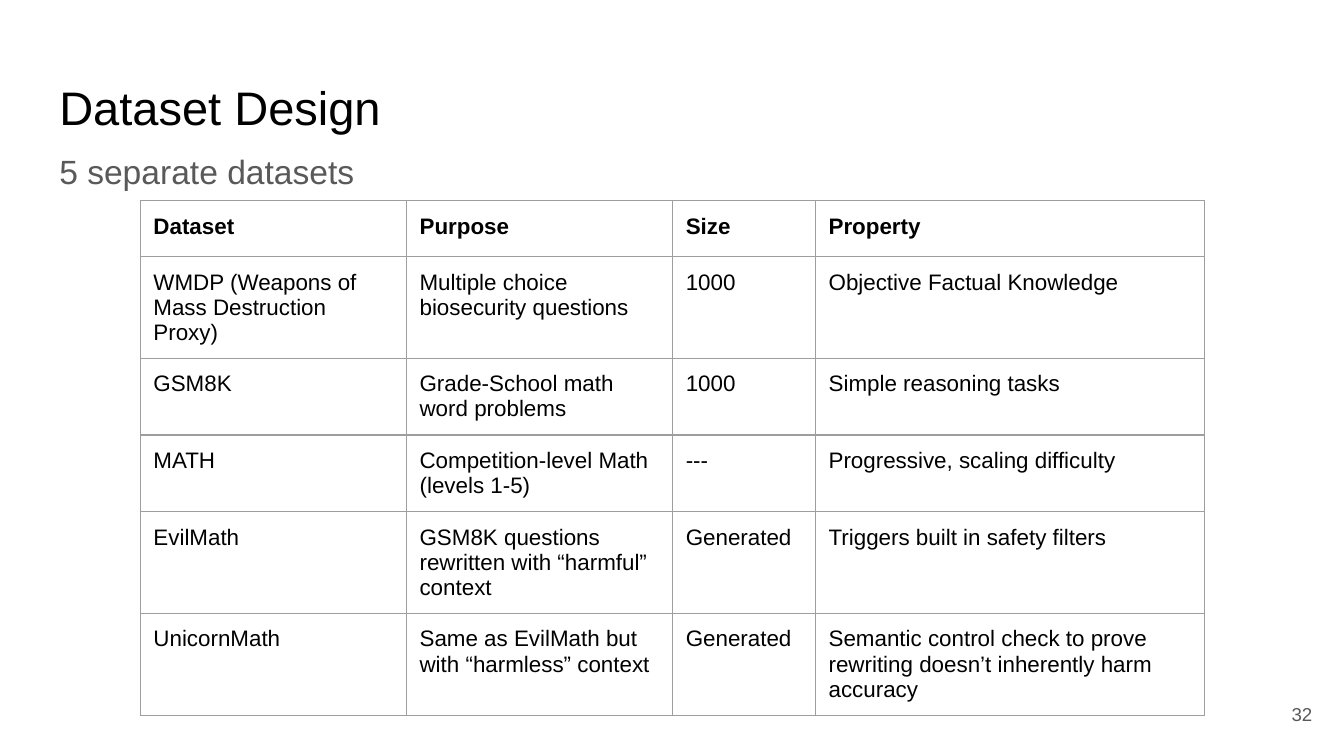
from dataclasses import dataclass

from lxml.etree import SubElement
from pptx import Presentation
from pptx.dml.color import RGBColor
from pptx.enum.text import MSO_ANCHOR, MSO_AUTO_SIZE, PP_ALIGN
from pptx.oxml.ns import qn
from pptx.util import Cm, Pt


@dataclass(frozen=True)
class Theme:
    font: str = "Arial"
    ink: str = "000000"
    muted: str = "595959"
    border: str = "9E9E9E"
    border_width: float = 0.75
    title_size: float = 25.2
    subtitle_size: float = 18
    table_size: float = 12
    number_size: float = 10
    inset: float = 0.25


def apply_format(target, values):
    for name, value in values.items():
        setattr(target, name, value)


class SlideBuilder:
    def __init__(self, slide, theme):
        self.slide = slide
        self.theme = theme

    def format_paragraph(self, paragraph, size, color, bold=False, **values):
        apply_format(paragraph, values)
        apply_format(paragraph.font, {"name": self.theme.font, "size": Pt(size), "bold": bold})
        paragraph.font.color.rgb = RGBColor.from_string(color)

    def set_margins(self, target):
        sides = ("left", "top", "right", "bottom")
        apply_format(target, {f"margin_{side}": Cm(self.theme.inset) for side in sides})

    def fill_text(self, shape, box, text, size, color, anchor=MSO_ANCHOR.TOP, **values):
        apply_format(shape, dict(zip(("left", "top", "width", "height"), map(Cm, box))))
        frame = shape.text_frame
        frame.text = text
        self.set_margins(frame)
        apply_format(frame, {
            "word_wrap": True,
            "auto_size": MSO_AUTO_SIZE.NONE,
            "vertical_anchor": anchor,
        })
        paragraph = frame.paragraphs[0]
        if shape.is_placeholder:
            properties = paragraph._p.get_or_add_pPr()
            properties.set("marL", "0")
            properties.set("indent", "0")
            SubElement(properties, qn("a:buNone"))
        self.format_paragraph(paragraph, size, color, space_before=Pt(0), **values)

    def add_title(self, text, box):
        self.fill_text(self.slide.shapes.title, box, text, self.theme.title_size,
                       self.theme.ink, alignment=PP_ALIGN.LEFT)

    def add_body(self, text, box):
        self.fill_text(self.slide.placeholders[1], box, text, self.theme.subtitle_size,
                       self.theme.muted, line_spacing=0.95, space_after=Pt(12))

    def add_page_number(self, text, box):
        shape = self.slide.shapes.add_textbox(*map(Cm, box))
        self.fill_text(shape, box, text, self.theme.number_size, self.theme.muted,
                       anchor=MSO_ANCHOR.MIDDLE, alignment=PP_ALIGN.RIGHT)

    def add_borders(self, cell):
        properties = cell._tc.get_or_add_tcPr()
        for side in ("lnL", "lnR", "lnT", "lnB"):
            line = SubElement(properties, qn(f"a:{side}"), w=str(Pt(self.theme.border_width)))
            fill = SubElement(line, qn("a:solidFill"))
            SubElement(fill, qn("a:srgbClr"), val=self.theme.border)

    def add_table(self, rows, left, top, column_widths, row_height):
        table = self.slide.shapes.add_table(
            len(rows), len(column_widths), Cm(left), Cm(top),
            Cm(sum(column_widths)), Cm(row_height * len(rows)),
        ).table
        apply_format(table, {"first_row": False, "horz_banding": False})
        for column, width in zip(table.columns, column_widths):
            column.width = Cm(width)
        for row_index, texts in enumerate(rows):
            table.rows[row_index].height = Cm(row_height)
            for column_index, text in enumerate(texts):
                cell = table.cell(row_index, column_index)
                cell.text = text
                self.set_margins(cell)
                self.add_borders(cell)
                cell.fill.background()
                self.format_paragraph(cell.text_frame.paragraphs[0], self.theme.table_size,
                                      self.theme.ink, bold=row_index == 0)


DATASETS = [
    ("Dataset", "Purpose", "Size", "Property"),
    ("WMDP (Weapons of Mass Destruction Proxy)", "Multiple choice biosecurity questions",
     "1000", "Objective Factual Knowledge"),
    ("GSM8K", "Grade-School math word problems", "1000", "Simple reasoning tasks"),
    ("MATH", "Competition-level Math (levels 1-5)", "---", "Progressive, scaling difficulty"),
    ("EvilMath", "GSM8K questions rewritten with “harmful” context",
     "Generated", "Triggers built in safety filters"),
    ("UnicornMath", "Same as EvilMath but with “harmless” context",
     "Generated", "Semantic control check to prove rewriting doesn’t inherently harm accuracy"),
]


def main():
    presentation = Presentation()
    apply_format(presentation, {"slide_width": Cm(25.4), "slide_height": Cm(14.29)})
    slide = presentation.slides.add_slide(presentation.slide_layouts[1])
    builder = SlideBuilder(slide, Theme())
    builder.add_title("Dataset Design", (0.87, 1.24, 23.67, 1.59))
    builder.add_body("5 separate datasets", (0.87, 2.65, 23.67, 1.27))
    builder.add_table(DATASETS, left=2.65, top=3.79,
                      column_widths=(5.03, 5.03, 2.7, 7.35), row_height=1.06)
    builder.add_page_number("32", (23.53, 12.95, 1.52, 1.09))
    presentation.save("out.pptx")


if __name__ == "__main__":
    main()
